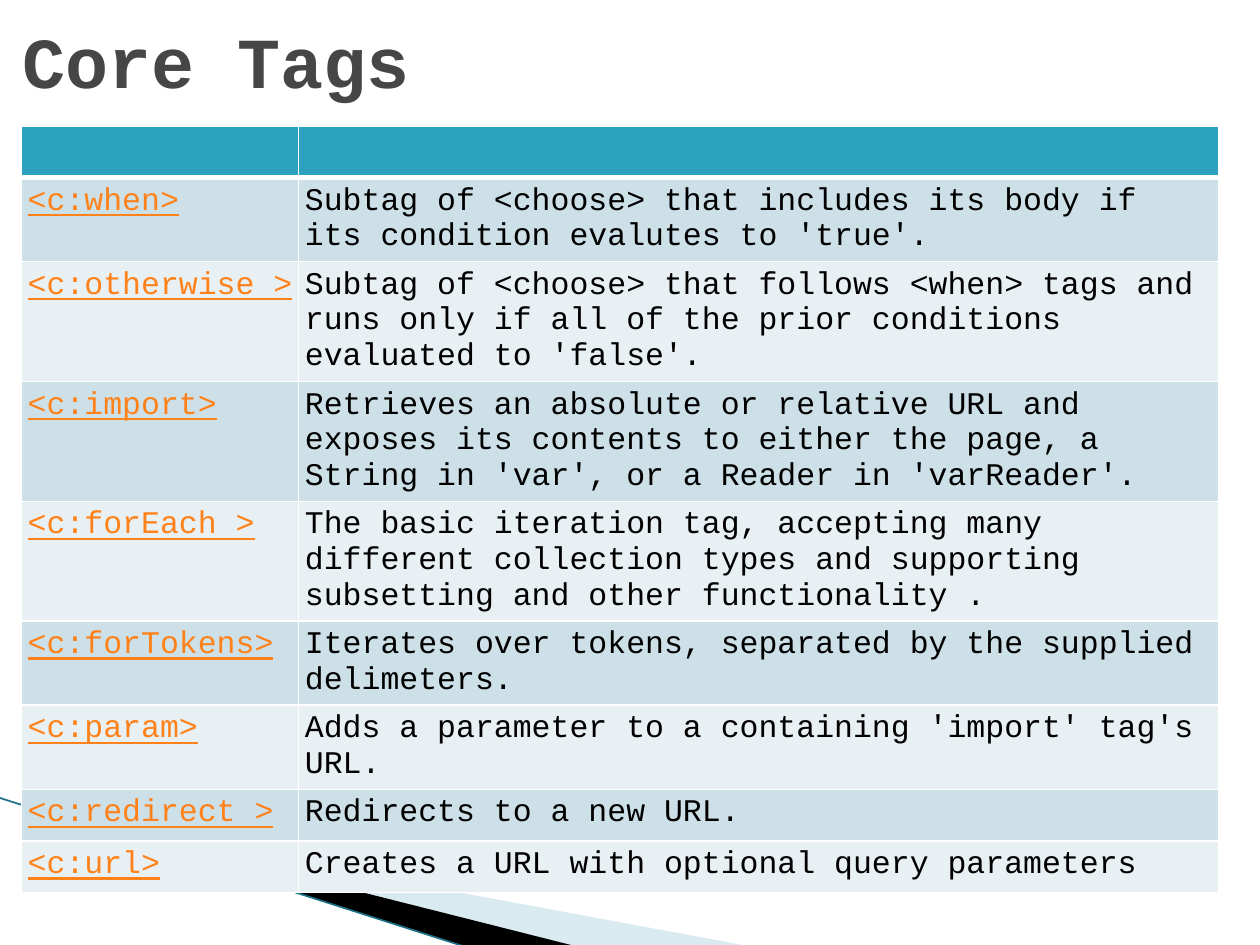
"""Build the Core Tags slide: a title, a table of tags and corner wedges."""
from lxml import etree
from pptx import Presentation
from pptx.dml.color import RGBColor
from pptx.enum.shapes import MSO_CONNECTOR
from pptx.enum.text import MSO_ANCHOR
from pptx.oxml.ns import qn
from pptx.util import Inches, Pt

STRAIGHT = MSO_CONNECTOR.STRAIGHT
MIDDLE = MSO_ANCHOR.MIDDLE
THEME = dict(
    font="Courier New", title=41, body=18,
    ink="464646", text="000000", link="FF8119", head="2DA2BF",
    bands=("CDE0E8", "E8F0F4"), rule="FFFFFF",
    pale="A0CBDC", dark="000000", line="1B7087",
)
TAGS = [
    ("<c:when>", "Subtag of <choose> that includes its body if its condition evalutes to 'true'."),
    ("<c:otherwise >", "Subtag of <choose> that follows <when> tags and runs only if all of the "
                       "prior conditions evaluated to 'false'."),
    ("<c:import>", "Retrieves an absolute or relative URL and exposes its contents to either "
                   "the page, a String in 'var', or a Reader in 'varReader'."),
    ("<c:forEach >", "The basic iteration tag, accepting many different collection types and "
                     "supporting subsetting and other functionality ."),
    ("<c:forTokens>", "Iterates over tokens, separated by the supplied delimeters."),
    ("<c:param>", "Adds a parameter to a containing 'import' tag's URL."),
    ("<c:redirect >", "Redirects to a new URL."),
    ("<c:url>", "Creates a URL with optional query parameters"),
]


def write(frame, text, size=THEME["body"], color=THEME["text"], bold=False, under=False):
    """Write one formatted run into a text frame."""
    frame.word_wrap = True
    run = frame.paragraphs[0].add_run()
    run.text = text
    font = run.font
    font.name, font.size = THEME["font"], Pt(size)
    font.bold, font.underline = bold, under
    font.color.rgb = RGBColor.from_string(color)


def edge(cell, widths):
    """Draw the borders of a cell, given widths by side."""
    props = cell._tc.get_or_add_tcPr()
    for spot, (side, width) in enumerate(widths.items()):
        line = etree.Element(qn("a:ln" + side), w=str(Pt(width)))
        fill = etree.SubElement(line, qn("a:solidFill"))
        etree.SubElement(fill, qn("a:srgbClr"), val=THEME["rule"])
        props.insert(spot, line)


deck = Presentation()
deck.slide_width, deck.slide_height = Inches(10), Inches(7.5)
slide = deck.slides.add_slide(deck.slide_layouts[6])
shapes = slide.shapes

wedges = [
    (THEME["pale"], 40, [(0.55, 6.51), (5.95, 7.51), (4.56, 7.51), (0.55, 6.5)]),
    (THEME["dark"], 100, [(0.53, 6.49), (4.57, 7.51), (3.72, 7.52), (0.54, 6.5)]),
]
for color, alpha, spots in wedges:
    points = [(Inches(x), Inches(y)) for x, y in spots]
    pen = shapes.build_freeform(*points[0])
    pen.add_line_segments(points[1:], close=True)
    wedge = pen.convert_to_shape()
    wedge.shadow.inherit = False
    wedge.line.fill.background()
    wedge.fill.solid()
    wedge.fill.fore_color.rgb = RGBColor.from_string(color)
    if alpha < 100:
        tone = wedge._element.spPr.find(".//" + qn("a:srgbClr"))
        etree.SubElement(tone, qn("a:alpha"), val=str(alpha * 1000))

line = shapes.add_connector(STRAIGHT, Inches(-0.01), Inches(6.33), Inches(3.71), Inches(7.52))
line.line.width = Pt(0.95)
line.line.color.rgb = RGBColor.from_string(THEME["line"])
etree.SubElement(line._element.spPr, qn("a:effectLst"))

rows = [("", "")] + TAGS
high = 0.41
table = shapes.add_table(len(rows), 2, Inches(0.17), Inches(1),
                         Inches(9.5), Inches(high * len(rows))).table
for column, width in zip(table.columns, (2.2, 7.3)):
    column.width = Inches(width)
for r, row in enumerate(rows):
    table.rows[r].height = Inches(high)
    for c, text in enumerate(row):
        cell = table.cell(r, c)
        cell.fill.solid()
        fill = THEME["bands"][(r - 1) % 2] if r else THEME["head"]
        cell.fill.fore_color.rgb = RGBColor.from_string(fill)
        edge(cell, dict(L=1, R=1, T=3 if r == 1 else 1, B=1 if r else 3))
        if text:
            cell.margin_left = cell.margin_right = Inches(0.05)
            cell.margin_top = cell.margin_bottom = Inches(0.05)
            write(cell.text_frame, text, under=c == 0,
                  color=THEME["text"] if c else THEME["link"])

title = shapes.add_textbox(Inches(0.08), Inches(0), Inches(9), Inches(0.95))
title.text_frame.vertical_anchor = MIDDLE
write(title.text_frame, "Core Tags", size=THEME["title"], color=THEME["ink"], bold=True)

deck.save("out.pptx")
